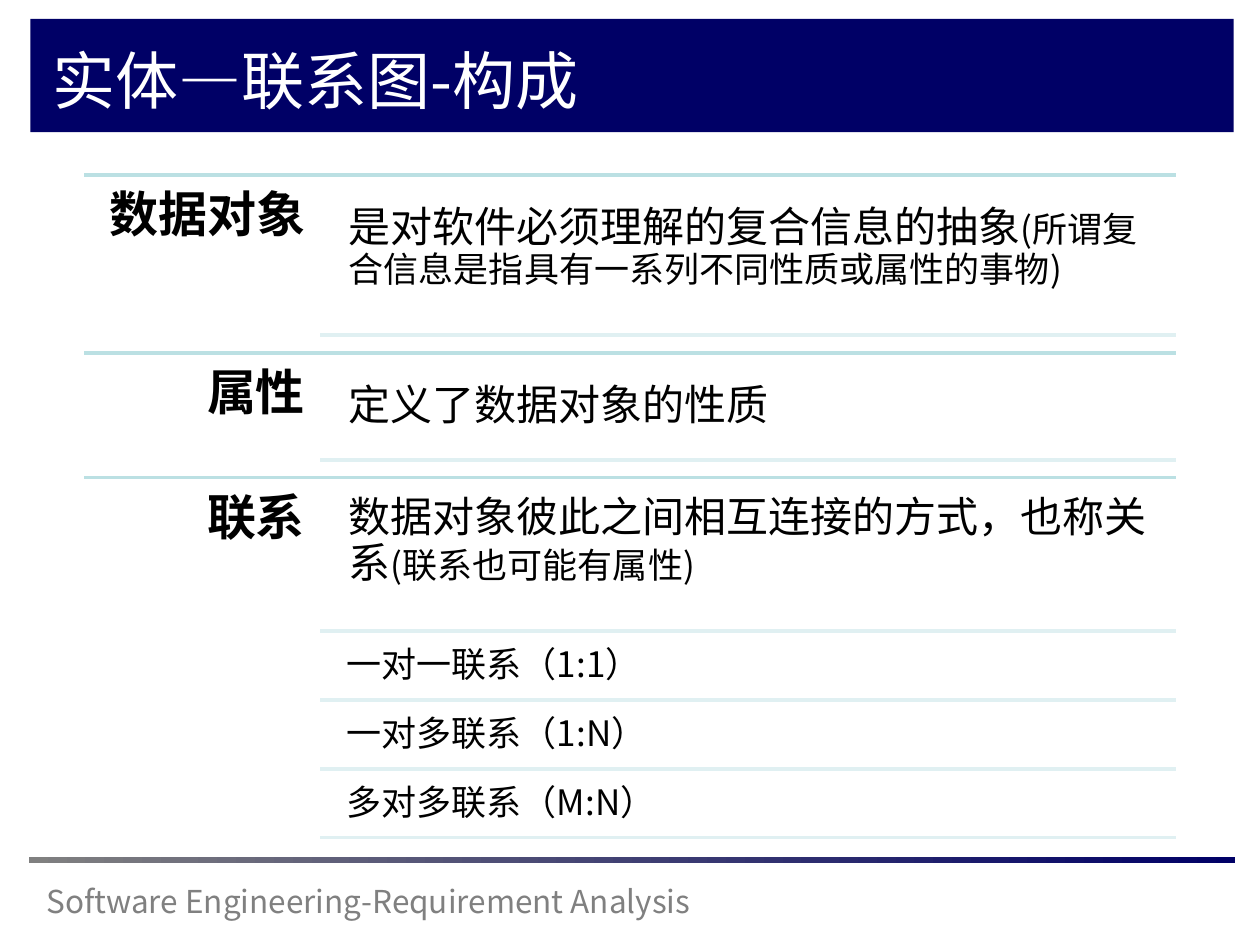
from dataclasses import dataclass

from lxml import etree
from pptx import Presentation
from pptx import util as u
from pptx.dml.color import RGBColor
from pptx.enum import dml, shapes, text
from pptx.oxml.ns import qn

FONT = "Noto Sans CJK SC"
HUES = {"navy": "000066", "gray": "808080", "white": "FFFFFF",
        "black": "000000", "teal": "BBE0E3", "pale": "E0F0F2"}
# Lengths are cells of a grid with 100 columns and 75 rows.
COLS, ROWS = 100, 75
LEFT, MID, BODY, RIGHT = 6.7, 25.4, 26.7, 93.3
GAP = 1.4    # from the end of one section to the next
STEP = 5.46  # from one item rule to the next
LEAD = 0.5   # from a rule to the item below it


@dataclass
class Run:
    words: str
    size: int
    hue: str = "black"
    bold: bool = False


@dataclass
class Part:
    name: str
    runs: list[Run]
    drop: float   # from the top rule to the body text
    tall: float   # height of the body text
    side: float   # height of the name box
    items: tuple[str, ...] = ()


PARTS = [
    Part("数据对象", [Run("是对软件必须理解的复合信息的抽象", 24),
                  Run("(所谓复合信息是指具有一系列不同性质或属性的事物)", 20)], 1.5, 11.2, 9.3),
    Part("属性", [Run("定义了数据对象的性质", 24)], 1.5, 7, 9.8),
    Part("联系", [Run("数据对象彼此之间相互连接的方式，也称关系", 24),
                Run("(联系也可能有属性)", 20)], 0.5, 11.7, 29.1,
         ("一对一联系（1:1）", "一对多联系（1:N）", "多对多联系（M:N）")),
]

deck = Presentation()
deck.slide_width, deck.slide_height = u.Inches(10), u.Inches(7.5)
page = deck.slides.add_slide(deck.slide_layouts[6])


def col(n: float) -> int:
    return round(deck.slide_width * n / COLS)


def row(n: float) -> int:
    return round(deck.slide_height * n / ROWS)


def tint(hue: str) -> RGBColor:
    return RGBColor.from_string(HUES[hue])


def bar(x: float, y: float, w: float, h: float, *hues: str) -> None:
    """Draw a bar, plain for one hue and graded from left to right for two."""
    box = page.shapes.add_shape(shapes.MSO_SHAPE.RECTANGLE, col(x), row(y), col(w), row(h))
    box.shadow.inherit = False
    box.line.fill.background()
    if len(hues) == 1:
        box.fill.solid()
        box.fill.fore_color.rgb = tint(hues[0])
        return
    box.fill.gradient()
    box.fill.gradient_angle = 0
    for stop, hue in zip(box.fill.gradient_stops, hues):
        stop.color.rgb = tint(hue)


def rule(x: float, y: float, hue: str) -> None:
    line = page.shapes.add_connector(shapes.MSO_CONNECTOR.STRAIGHT,
                                     col(x), row(y), col(RIGHT), row(y))
    line.line.color.rgb = tint(hue)
    line.line.width = u.Pt(2)
    etree.SubElement(line._element.spPr, qn("a:effectLst"))


def write(x: float, y: float, w: float, h: float, runs: list[Run],
          pad: float | None = None, align=text.PP_ALIGN.LEFT,
          anchor=text.MSO_ANCHOR.TOP) -> None:
    """Set one paragraph; a pad in inches marks the tighter body text."""
    frame = page.shapes.add_textbox(col(x), row(y), col(w), row(h)).text_frame
    frame.word_wrap = True
    frame.vertical_anchor = anchor
    para = frame.paragraphs[0]
    para.alignment = align
    if pad is not None:
        frame.margin_left = frame.margin_right = u.Inches(pad)
        frame.margin_top = frame.margin_bottom = u.Inches(pad)
        para.line_spacing = 0.9
    for item in runs:
        run = para.add_run()
        run.text = item.words
        font = run.font
        font.name, font.size, font.bold = FONT, u.Pt(item.size), item.bold
        font.color.rgb = tint(item.hue)
        etree.SubElement(run._r.get_or_add_rPr(), qn("a:ea"), typeface=FONT)


def draw(part: Part, top: float) -> float:
    """Draw a section and return the row of its last rule."""
    rule(LEFT, top, "teal")
    write(LEFT, top, MID - LEFT, part.side, [Run(part.name, 28, bold=True)],
          0.12, text.PP_ALIGN.RIGHT)
    write(BODY, top + part.drop, RIGHT - BODY, part.tall, part.runs, 0.1)
    end = top + part.drop + part.tall
    rule(MID, end, "pale")
    for words in part.items:
        write(BODY, end + LEAD, RIGHT - BODY, STEP - LEAD, [Run(words, 20)], 0.08)
        end += STEP
        rule(MID, end, "pale")
    return end


def main() -> None:
    back = page.background.fill
    back.solid()
    back.fore_color.rgb = tint("white")
    bar(2.4, 1.5, 95.5, 9, "navy")
    write(2.7, 69.5, 55.1, 4, [Run("Software Engineering-Requirement Analysis", 18, "gray")])
    bar(2.3, 68, 95.7, 0.5, "gray", "navy")
    write(3.2, 2.6, 88.1, 7.4, [Run("实体—联系图-构成", 36, "white")],
          anchor=text.MSO_ANCHOR.MIDDLE)
    top = 13.9
    for part in PARTS:
        top = draw(part, top) + GAP
    deck.save("out.pptx")


if __name__ == "__main__":
    main()
